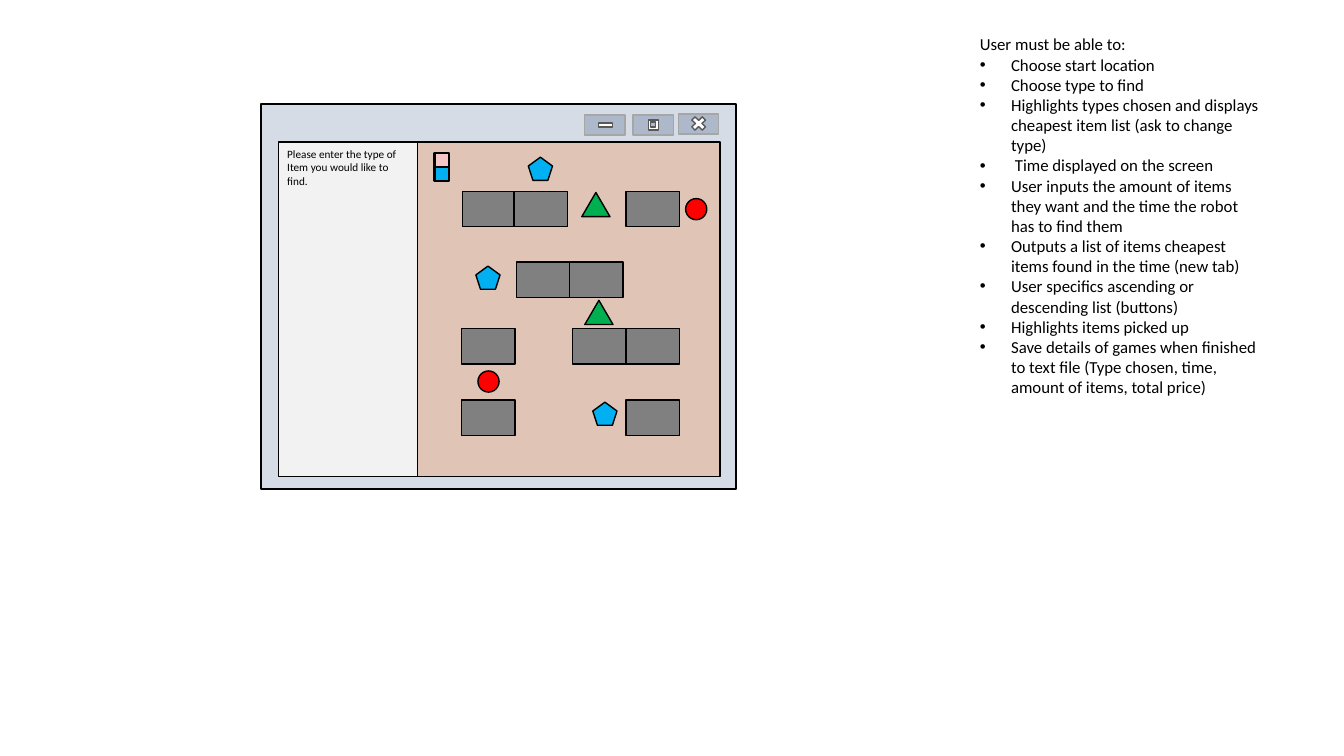
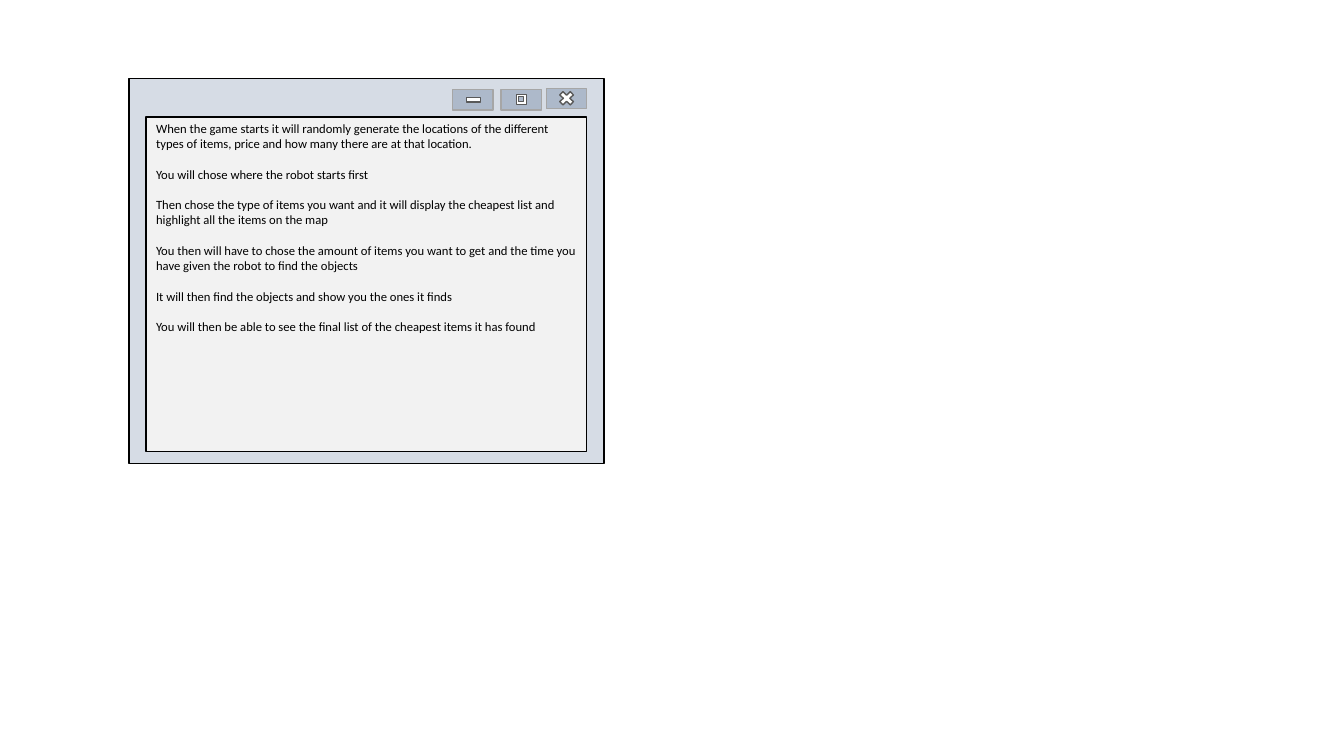
from dataclasses import dataclass

from lxml.etree import SubElement
from pptx import Presentation
from pptx.dml.color import RGBColor
from pptx.enum.shapes import MSO_CONNECTOR, MSO_SHAPE as Preset
from pptx.enum.text import MSO_AUTO_SIZE, PP_ALIGN
from pptx.oxml.ns import qn
from pptx.shapes.shapetree import GroupShapes, SlideShapes
from pptx.slide import Slide
from pptx.util import Emu, Pt

# Scale: 100 px to the inch
EMU_PER_PX = 9144
PAGE_WIDTH, PAGE_HEIGHT = 1333, 750

# Shared look
FONT = "Calibri"
BLACK, WHITE = "000000", "FFFFFF"
FRAME, PANEL = "D6DCE5", "F2F2F2"
BUTTON, BUTTON_EDGE, ICON_EDGE = "ADB9CA", "A6A6A6", "595959"
FLOOR, SHELF, ROBOT = "E0C5B6", "808080", "F5C7C7"
BLUE, GREEN, RED = "00B0F0", "00B050", "FF0000"
BULLET_INDENT = 31

Shapes = SlideShapes | GroupShapes


@dataclass(frozen=True)
class Part:
    left: int
    top: int
    width: int
    height: int
    fill: str
    edge: str = BLACK
    preset: Preset = Preset.RECTANGLE
    weight: float = 1


@dataclass(frozen=True)
class ItemKind:
    preset: Preset
    width: int
    height: int
    fill: str
    spots: tuple[tuple[int, int], ...]


@dataclass(frozen=True)
class TextBlock:
    left: int
    top: int
    width: int
    height: int
    size: int
    lines: tuple[str, ...]
    gap: int = 0
    bullets_from: int | None = None


# Window parts, measured from the window's top left corner
WINDOW_PARTS = (
    Part(0, 0, 471, 382, FRAME),
    Part(17, 38, 437, 332, PANEL),
    Part(414, 10, 40, 20, BUTTON, BUTTON_EDGE),
    Part(424, 10, 20, 19, WHITE, ICON_EDGE, Preset.MATH_MULTIPLY),
    Part(321, 11, 40, 20, BUTTON, BUTTON_EDGE),
    Part(332, 12, 19, 18, WHITE, ICON_EDGE, Preset.MATH_MINUS),
    Part(369, 11, 40, 20, BUTTON, BUTTON_EDGE),
    Part(384, 16, 10, 10, WHITE, ICON_EDGE),
    Part(386, 18, 5, 5, BUTTON, ICON_EDGE),
)

# Map contents
MAP = Part(414, 141, 300, 332, FLOOR)
SHELF_WIDTH, SHELF_HEIGHT = 53, 35
SHELF_ROWS = {
    190: (459, 510, 621),
    260: (512, 565),
    326: (458, 621, 568),
    397: (458, 621),
}
ROBOT_PARTS = tuple(
    Part(431, 152 + 14 * row, 14, 14, fill, weight=1.5)
    for row, fill in enumerate((ROBOT, BLUE))
)
ITEM_KINDS = (
    ItemKind(Preset.ISOSCELES_TRIANGLE, 28, 24, GREEN, ((577, 191), (580, 298))),
    ItemKind(Preset.OVAL, 21, 21, RED, ((474, 368), (680, 197))),
    ItemKind(Preset.REGULAR_PENTAGON, 24, 23, BLUE,
             ((588, 399), (472, 264), (524, 156))),
)

# Wording
PROMPT = TextBlock(275, 141, 129, 64, 8, (
    "Please enter the type of",
    "Item you would like to find.",
))
REQUIREMENTS = TextBlock(962, 29, 300, 394, 12, (
    "User must be able to:",
    "Choose start location",
    "Choose type to find",
    "Highlights types chosen and displays cheapest item list (ask to change type)",
    " Time displayed on the screen",
    "User inputs the amount of items they want and the time the robot has to find them",
    "Outputs a list of items cheapest items found in the time (new tab)",
    "User specifics ascending or descending list (buttons)",
    "Highlights items picked up",
    "Save details of games when finished to text file "
    "(Type chosen, time, amount of items, total price)",
), bullets_from=1)
INSTRUCTIONS = TextBlock(145, 115, 437, 237, 9, (
    "When the game starts it will randomly generate the locations of the different "
    "types of items, price and how many there are at that location.",
    "You will chose where the robot starts first",
    "Then chose the type of items you want and it will display the cheapest list "
    "and highlight all the items on the map",
    "You then will have to chose the amount of items you want to get and the time "
    "you have given the robot to find the objects",
    "It will then find the objects and show you the ones it finds",
    "You will then be able to see the final list of the cheapest items it has found",
), gap=11)


def px(length: int) -> Emu:
    return Emu(length * EMU_PER_PX)


def color(value: str) -> RGBColor:
    return RGBColor.from_string(value)


def draw_part(shapes: Shapes, part: Part, left: int = 0, top: int = 0) -> None:
    """Draw a part, shifted by left and top."""
    shape = shapes.add_shape(part.preset, px(left + part.left), px(top + part.top),
                             px(part.width), px(part.height))
    shape.shadow.inherit = False
    shape.fill.solid()
    shape.fill.fore_color.rgb = color(part.fill)
    shape.line.color.rgb = color(part.edge)
    shape.line.width = Pt(part.weight)


def draw_group(page: Slide, parts: tuple[Part, ...], left: int = 0, top: int = 0) -> None:
    group = page.shapes.add_group_shape()
    for part in parts:
        draw_part(group.shapes, part, left, top)


def draw_text(page: Slide, block: TextBlock) -> None:
    box = page.shapes.add_textbox(px(block.left), px(block.top),
                                  px(block.width), px(block.height))
    frame = box.text_frame
    frame.word_wrap = True
    frame.auto_size = MSO_AUTO_SIZE.SHAPE_TO_FIT_TEXT
    font_format = {"name": FONT, "size": Pt(block.size)}
    for index, line in enumerate(block.lines):
        para = frame.add_paragraph() if index else frame.paragraphs[0]
        para.alignment = PP_ALIGN.LEFT
        if index and block.gap:
            para.space_before = Pt(block.gap)
        span = para.add_run()
        span.text = line
        for name, value in font_format.items():
            setattr(span.font, name, value)
        span.font.color.rgb = color(BLACK)
        if block.bullets_from is not None and index >= block.bullets_from:
            properties = para._p.get_or_add_pPr()
            properties.set("marL", str(px(BULLET_INDENT)))
            properties.set("indent", str(-px(BULLET_INDENT)))
            SubElement(properties, qn("a:buFont"), typeface="Arial")
            SubElement(properties, qn("a:buChar"), char="•")


def draw_divider(page: Slide) -> None:
    divider = page.shapes.add_connector(
        MSO_CONNECTOR.STRAIGHT, px(MAP.left), px(MAP.top),
        px(MAP.left), px(MAP.top + MAP.height))
    divider.line.color.rgb = color(BLACK)
    divider.line.width = Pt(1)
    SubElement(divider._element.spPr, qn("a:effectLst"))


def draw_map(page: Slide) -> None:
    draw_divider(page)
    draw_part(page.shapes, MAP)
    for top, lefts in SHELF_ROWS.items():
        for left in lefts:
            draw_part(page.shapes, Part(left, top, SHELF_WIDTH, SHELF_HEIGHT, SHELF))
    draw_group(page, ROBOT_PARTS)
    for kind in ITEM_KINDS:
        for left, top in kind.spots:
            draw_part(page.shapes, Part(left, top, kind.width, kind.height,
                                        kind.fill, preset=kind.preset))


def main() -> None:
    deck = Presentation()
    deck.slide_width, deck.slide_height = px(PAGE_WIDTH), px(PAGE_HEIGHT)
    blank = deck.slide_layouts[6]

    # Game screen and requirements
    game_page = deck.slides.add_slide(blank)
    draw_group(game_page, WINDOW_PARTS, 259, 103)
    draw_map(game_page)
    draw_text(game_page, PROMPT)
    draw_text(game_page, REQUIREMENTS)

    # Instructions screen
    help_page = deck.slides.add_slide(blank)
    draw_group(help_page, WINDOW_PARTS, 128, 78)
    draw_text(help_page, INSTRUCTIONS)

    deck.save("out.pptx")


if __name__ == "__main__":
    main()
